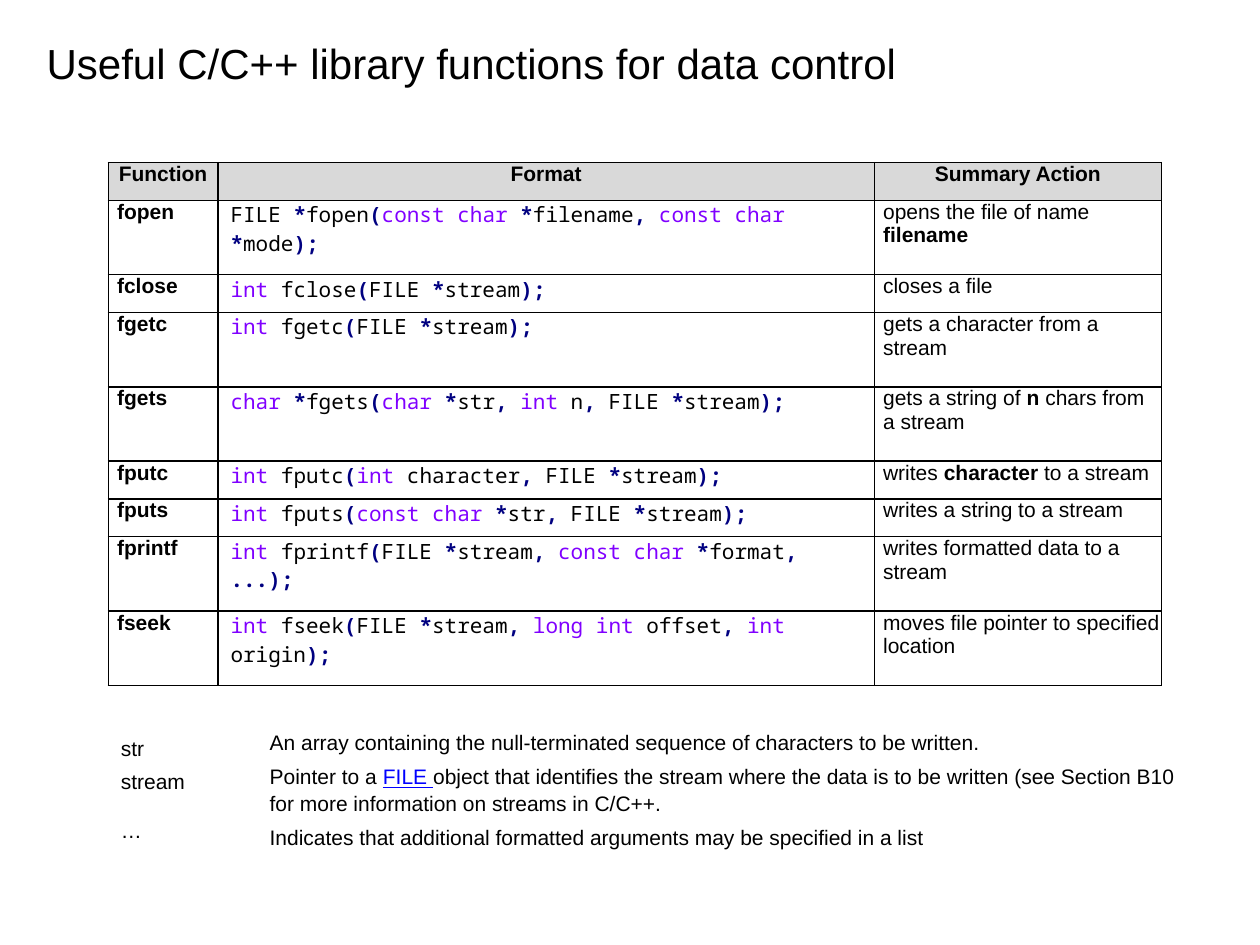
from itertools import groupby

from lxml import etree
from pptx import Presentation
from pptx import util as u
from pptx.dml import color
from pptx.enum import text
from pptx.oxml import ns

BLACK = color.RGBColor(0x00, 0x00, 0x00)
GREY = color.RGBColor(0xD9, 0xD9, 0xD9)
NAVY = color.RGBColor(0x00, 0x00, 0x80)
PURPLE = color.RGBColor(0x80, 0x00, 0xFF)
BLUE = color.RGBColor(0x00, 0x00, 0xFF)

# Run formats
PLAIN = dict(name="Arial", size=u.Pt(12), bold=False, color=BLACK)
BOLD = {**PLAIN, "bold": True}
TITLE = {**PLAIN, "size": u.Pt(24)}
LINK = {**PLAIN, "color": BLUE, "underline": True}
CODE = {**PLAIN, "name": "Noto Sans Mono"}
KEYWORD = {**CODE, "color": PURPLE}
SYMBOL = {**CODE, "color": NAVY, "bold": True}

KEYWORDS = {"const", "char", "int", "long"}
HEADINGS = ["Function", "Format", "Summary Action"]
COLUMNS = [0.87, 5.21, 2.28]
SHORT, TALL = 0.3, 0.59

# Name, row height, code lines, summary lines (** marks bold)
FUNCTIONS = [
    ("fopen", TALL, ["FILE *fopen(const char *filename, const char", "*mode);"],
     ["opens the file of name", "**filename**"]),
    ("fclose", SHORT, ["int fclose(FILE *stream);"], ["closes a file"]),
    ("fgetc", TALL, ["int fgetc(FILE *stream);"], ["gets a character from a stream"]),
    ("fgets", TALL, ["char *fgets(char *str, int n, FILE *stream);"],
     ["gets a string of **n** chars from a stream"]),
    ("fputc", SHORT, ["int fputc(int character, FILE *stream);"],
     ["writes **character** to a stream"]),
    ("fputs", SHORT, ["int fputs(const char *str, FILE *stream);"],
     ["writes a string to a stream"]),
    ("fprintf", TALL, ["int fprintf(FILE *stream, const char *format,", "...);"],
     ["writes formatted data to a stream"]),
    ("fseek", TALL, ["int fseek(FILE *stream, long int offset, int", "origin);"],
     ["moves file pointer to specified location"]),
]

NOTES = [
    [("An array containing the null-terminated sequence of characters to be written.", PLAIN)],
    [("Pointer to a ", PLAIN), ("FILE ", LINK),
     ("object that identifies the stream where the data is to be written "
      "(see Section B10 for more information on streams in C/C++.", PLAIN)],
    [("Indicates that additional formatted arguments may be specified in a list", PLAIN)],
]


def code_runs(line):
    """Split a line of C into words, blanks and symbols with their formats."""
    for kind, chars in groupby(line, lambda c: "word" if c.isalnum() else
                               "blank" if c == " " else "symbol"):
        token = "".join(chars)
        yield token, SYMBOL if kind == "symbol" else KEYWORD if token in KEYWORDS else CODE


def marked_runs(line):
    return [(part, BOLD if i % 2 else PLAIN)
            for i, part in enumerate(line.split("**")) if part]


def write(tf, paragraphs, **layout):
    """Fill a text frame with paragraphs, each a list of (text, format)."""
    for i, runs in enumerate(paragraphs):
        p = tf.add_paragraph() if i else tf.paragraphs[0]
        for key, value in layout.items():
            if i or key != "space_before":
                setattr(p, key, value)
        for words, fmt in runs:
            r = p.add_run()
            r.text = words
            for key, value in fmt.items():
                if key == "color":
                    r.font.color.rgb = value
                else:
                    setattr(r.font, key, value)


def set_margins(box, left=0):
    for side in ("left", "top", "right", "bottom"):
        setattr(box, "margin_" + side, u.Inches(left if side == "left" else 0))


def add_text(s, box, paragraphs, **layout):
    tf = s.shapes.add_textbox(*map(u.Inches, box)).text_frame
    tf.word_wrap = True
    set_margins(tf)
    write(tf, paragraphs, **layout)


def add_borders(cell):
    tcPr = cell._tc.get_or_add_tcPr()
    for side in "LRTB":
        ln = etree.SubElement(tcPr, ns.qn("a:ln" + side), w=str(u.Pt(1)))
        fill = etree.SubElement(ln, ns.qn("a:solidFill"))
        etree.SubElement(fill, ns.qn("a:srgbClr"), val=str(BLACK))


def function_table(s, left, top):
    heights = [SHORT] + [f[1] for f in FUNCTIONS]
    frame = s.shapes.add_table(len(heights), len(COLUMNS), *map(
        u.Inches, (left, top, sum(COLUMNS), sum(heights))))
    table = frame.table
    table.first_row = table.horz_banding = False
    for column, width in zip(table.columns, COLUMNS):
        column.width = u.Inches(width)

    rows = [[[[(h, BOLD)]] for h in HEADINGS]]
    rows += [[[[(name, BOLD)]], map(code_runs, code), map(marked_runs, summary)]
             for name, _, code, summary in FUNCTIONS]
    for i, row in enumerate(rows):
        table.rows[i].height = u.Inches(heights[i])
        for j, paragraphs in enumerate(row):
            cell = table.cell(i, j)
            add_borders(cell)
            if i == 0:
                cell.fill.solid()
                cell.fill.fore_color.rgb = GREY
            else:
                cell.fill.background()
            set_margins(cell, 0 if i == 0 else 0.1 if j == 1 else 0.07)
            align = text.PP_ALIGN.LEFT if i else text.PP_ALIGN.CENTER
            write(cell.text_frame, paragraphs, alignment=align)


def argument_notes(s, left, top):
    # Terms on the left, explanations on the right
    add_text(s, (left, top, 0.6, 0.45), [[("str", PLAIN)], [("stream", PLAIN)]],
             line_spacing=1.3)
    add_text(s, (left, top + 0.71, 0.19, 0.19), [[("…", PLAIN)]])
    add_text(s, (left + 1.18, top, 7.21, 0.91), NOTES,
             line_spacing=1.07, space_before=u.Pt(4))


prs = Presentation()
prs.slide_width, prs.slide_height = u.Inches(10), u.Inches(7.5)
s = prs.slides.add_slide(prs.slide_layouts[6])
add_text(s, (0.37, 0.3, 9.27, 0.36),
         [[("Useful C/C++ library functions for data control", TITLE)]])
function_table(s, 0.86, 1.29)
argument_notes(s, 0.96, 5.78)
prs.save("out.pptx")
